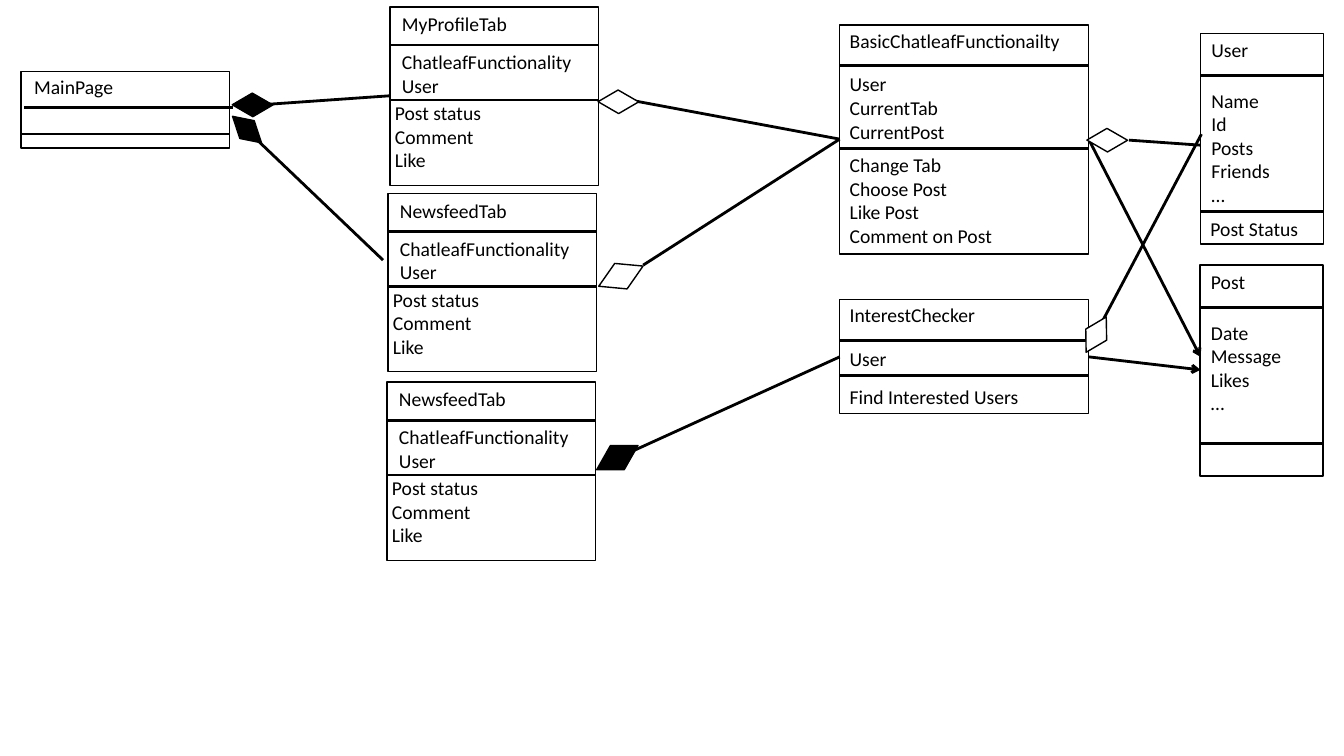
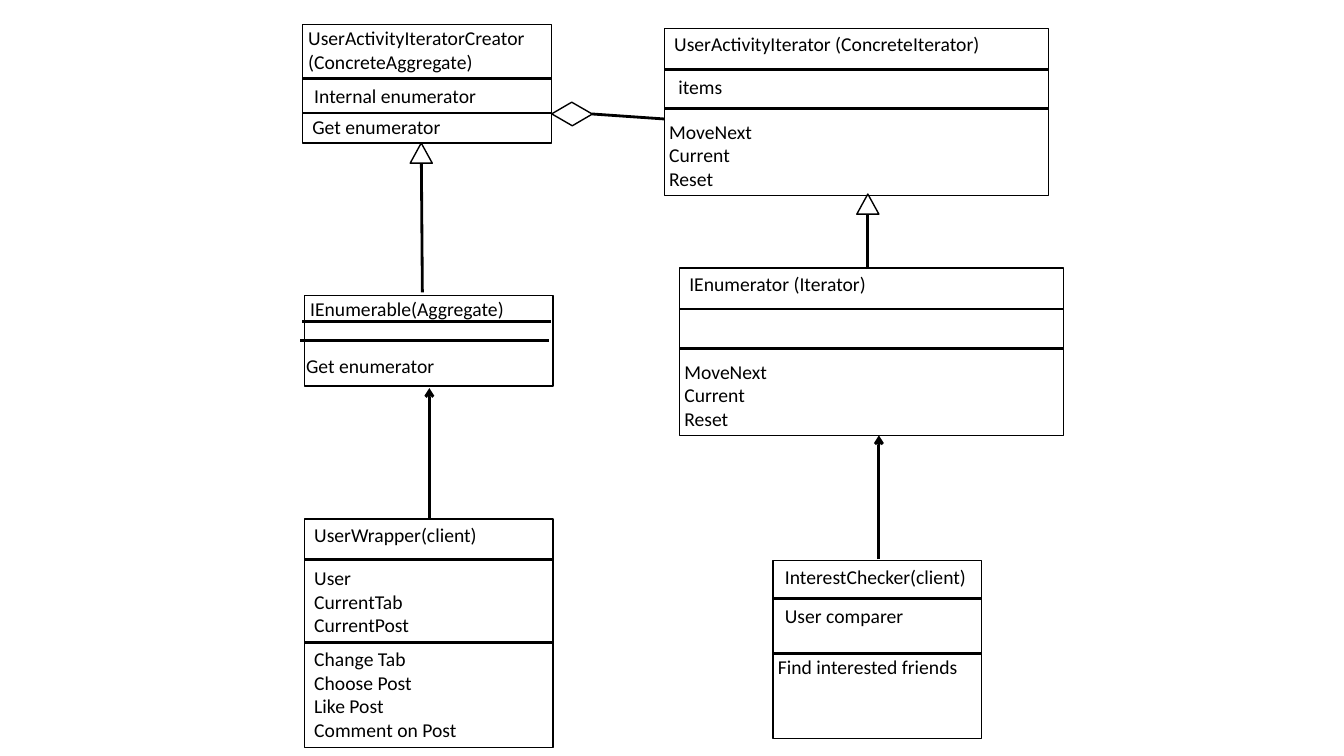
from collections import namedtuple

from lxml import etree
from pptx import Presentation
from pptx.dml.color import RGBColor
from pptx.enum.shapes import MSO_CONNECTOR, MSO_SHAPE
from pptx.enum.text import MSO_AUTO_SIZE
from pptx.oxml.ns import qn
from pptx.util import Pt

RECTANGLE = MSO_SHAPE.RECTANGLE
PARALLELOGRAM = MSO_SHAPE.PARALLELOGRAM
TRIANGLE = MSO_SHAPE.ISOSCELES_TRIANGLE
STRAIGHT = MSO_CONNECTOR.STRAIGHT
FIT_TEXT = MSO_AUTO_SIZE.SHAPE_TO_FIT_TEXT

BLACK, WHITE = "000000", "FFFFFF"
FONT, TEXT_SIZE, LINE_STEP, INSET = "Calibri", 14, 17.1, 3.6
OUTLINE, STROKE = 1, 2

# Rules and texts are (x, y) offsets from the top left corner of the class box.
Layout = namedtuple("Layout", "width height rules texts")
TALL = Layout(177.8, 163.4, [(0, 28.8), (0, 88.2)],
              [(0, -0.7), (0, 30.2), (0, 87.8)])
SHORT = Layout(177.8, 81.4, [(0, 29.5), (0, 54.7)],
               [(0, -0.7), (0, 30.2), (0, 57.6)])
ENTITY = Layout(87.8, 150.5, [(0, 30.2), (0.7, 127.4)],
                [(0.7, 0), (0.7, 36), (0, 127.4)])
MAIN = Layout(149, 54.7, [(2.2, 25.9), (0, 44.6)], [(2.2, -1.4)])
TAB = Layout(149, 127.4, [(0, 27.2), (-0.7, 66.4)],
             [(1.4, 0), (1.4, 27.2), (-3.6, 63.6)])
CREATOR = Layout(177.8, 85, [(0, 38.9), (0, 63.4)],
                 [(-2.9, -2.2), (1.4, 38.9), (0, 61.2)])
ITERATOR = Layout(274.3, 119.5, [(0, 29.2), (0, 57.2)],
                  [(0, -0.7), (2.9, 29.5), (-3.6, 61.9)])
AGGREGATE = Layout(177.8, 64.8, [(-1.4, 18.7), (-2.9, 32.4)],
                   [(-2.9, -2.2), (-5.8, 38.2)])

TAB_TEXTS = ["ChatleafFunctionality\nUser", "Post status\nComment\nLike"]
POST_TEXTS = ["User\nCurrentTab\nCurrentPost",
              "Change Tab\nChoose Post\nLike Post\nComment on Post"]
MOVE_TEXT = "MoveNext\nCurrent\nReset"


def color(value):
    """Turn a hex string into a colour."""
    return RGBColor.from_string(value)


def add_outline(parent, kind, box, fill=WHITE, turn=0):
    """Add a filled, black-edged shape in the (left, top, width, height) box."""
    shape = parent.shapes.add_shape(kind, *[Pt(length) for length in box])
    shape.shadow.inherit = False
    shape.fill.solid()
    shape.fill.fore_color.rgb = color(fill)
    shape.line.color.rgb = color(BLACK)
    shape.line.width = Pt(OUTLINE)
    shape.rotation = turn
    return shape


def add_line(parent, start, end, arrow=False):
    """Add a straight line, with an open arrowhead at its end if asked."""
    line = parent.shapes.add_connector(
        STRAIGHT, *[Pt(length) for length in (*start, *end)])
    line.line.color.rgb = color(BLACK)
    line.line.width = Pt(STROKE)
    properties = line._element.spPr
    if arrow:
        etree.SubElement(properties.find(qn("a:ln")), qn("a:tailEnd"),
                         type="arrow")
    etree.SubElement(properties, qn("a:effectLst"))


def add_text(parent, left, top, width, text):
    """Add a wrapped text box as high as its lines."""
    height = LINE_STEP * (text.count("\n") + 1) + 2 * INSET
    box = parent.shapes.add_textbox(Pt(left), Pt(top), Pt(width), Pt(height))
    frame = box.text_frame
    frame.word_wrap = True
    frame.auto_size = FIT_TEXT
    para = frame.paragraphs[0]
    para.text = text
    para.font.name = FONT
    para.font.size = Pt(TEXT_SIZE)
    para.font.color.rgb = color(BLACK)


def add_class(page, left, top, layout, texts):
    """Add a grouped class box with its dividing rules and texts."""
    group = page.shapes.add_group_shape()
    add_outline(group, RECTANGLE, (left, top, layout.width, layout.height))
    for x, y in layout.rules:
        add_line(group, (left + x, top + y), (left + x + layout.width, top + y))
    for (x, y), text in zip(layout.texts, texts):
        if text:
            add_text(group, left + x, top + y, layout.width, text)


def add_diamond(page, left, top, turn, fill=WHITE, width=25.2, height=14.4):
    """Add an aggregation (white) or composition (black) mark."""
    box = (left, top, width, height)
    diamond = add_outline(page, PARALLELOGRAM, box, fill, turn)
    diamond.adjustments[0] = 0.57


def add_triangle(page, left, top):
    """Add an inheritance mark."""
    add_outline(page, TRIANGLE, (left, top, 15.8, 14.4))


def build_application(page):
    """Draw the class diagram of the application."""
    add_class(page, 599.8, 18, TALL, ["BasicChatleafFunctionailty", *POST_TEXTS])
    add_class(page, 857.5, 23.8, ENTITY,
              ["User", "Name\nId\nPosts\nFriends\n…", "Post Status"])
    add_class(page, 857.2, 189.4, ENTITY, ["Post", "Date\nMessage\nLikes\n…"])
    add_class(page, 599.8, 213.8, SHORT,
              ["InterestChecker", "User", "Find Interested Users"])
    add_class(page, 15.1, 51.1, MAIN, ["MainPage"])
    for left, top, name in [(278.6, 5, "MyProfileTab"),
                            (277.2, 138.2, "NewsfeedTab"),
                            (276.5, 272.9, "NewsfeedTab")]:
        add_class(page, left, top, TAB, [name, *TAB_TEXTS])

    add_line(page, (777.6, 99.4), (857.5, 254.9), arrow=True)
    add_line(page, (777.6, 254.9), (857.5, 264.2), arrow=True)
    for start, end in [((858.2, 95.8), (787.7, 229)),
                       ((857.5, 103.7), (806.4, 100.1)),
                       ((452.9, 72), (599.8, 99.4)),
                       ((459.4, 189.4), (599.8, 99.4)),
                       ((185.8, 74.9), (278.6, 68.4)),
                       ((179.3, 95.8), (273.6, 185.8)),
                       ((446.4, 324.7), (599.8, 254.9))]:
        add_line(page, start, end)

    add_diamond(page, 770.4, 231.8, 149.4)
    add_diamond(page, 778.3, 92.9, 210)
    add_diamond(page, 429.1, 65.5, 210)
    add_diamond(page, 428.4, 188.6, 185.3, width=30.2, height=17.3)
    add_diamond(page, 167.8, 67.7, 210, BLACK)
    add_diamond(page, 164.2, 85.7, 251.7, BLACK, 24.5, 13.7)
    add_diamond(page, 426.2, 318.2, 180, BLACK, 29.5, 17.3)


def build_iterator(page):
    """Draw the class diagram of the iterator pattern."""
    add_class(page, 216, 17.3, CREATOR,
              ["UserActivityIteratorCreator (ConcreteAggregate)",
               "Internal enumerator", "Get enumerator"])
    add_class(page, 474.5, 20.2, ITERATOR,
              ["UserActivityIterator (ConcreteIterator)", "items", MOVE_TEXT])
    add_class(page, 217.4, 370.8, TALL, ["UserWrapper(client)", *POST_TEXTS])
    add_class(page, 552.2, 400.3, TAB,
              ["InterestChecker(client)", "User comparer",
               "Find interested friends"])
    add_class(page, 217.4, 211, AGGREGATE,
              ["IEnumerable(Aggregate)", "Get enumerator"])
    add_class(page, 485.3, 191.5, ITERATOR,
              ["IEnumerator (Iterator)", "", MOVE_TEXT])

    add_line(page, (306.7, 370.8), (306.7, 277.2), arrow=True)
    add_line(page, (627.8, 399.6), (627.8, 311), arrow=True)
    add_line(page, (474.5, 85), (422.6, 81.4))
    add_line(page, (301.7, 208.8), (301, 116.6))
    add_line(page, (619.9, 192.2), (619.9, 153.4))
    add_diamond(page, 396, 74.2, 210)
    add_triangle(page, 293, 102.2)
    add_triangle(page, 612, 138.6)


deck = Presentation()
deck.slide_width, deck.slide_height = Pt(960), Pt(540)
blank = deck.slide_layouts[6]
for build in (build_application, build_iterator):
    build(deck.slides.add_slide(blank))
deck.save("out.pptx")
